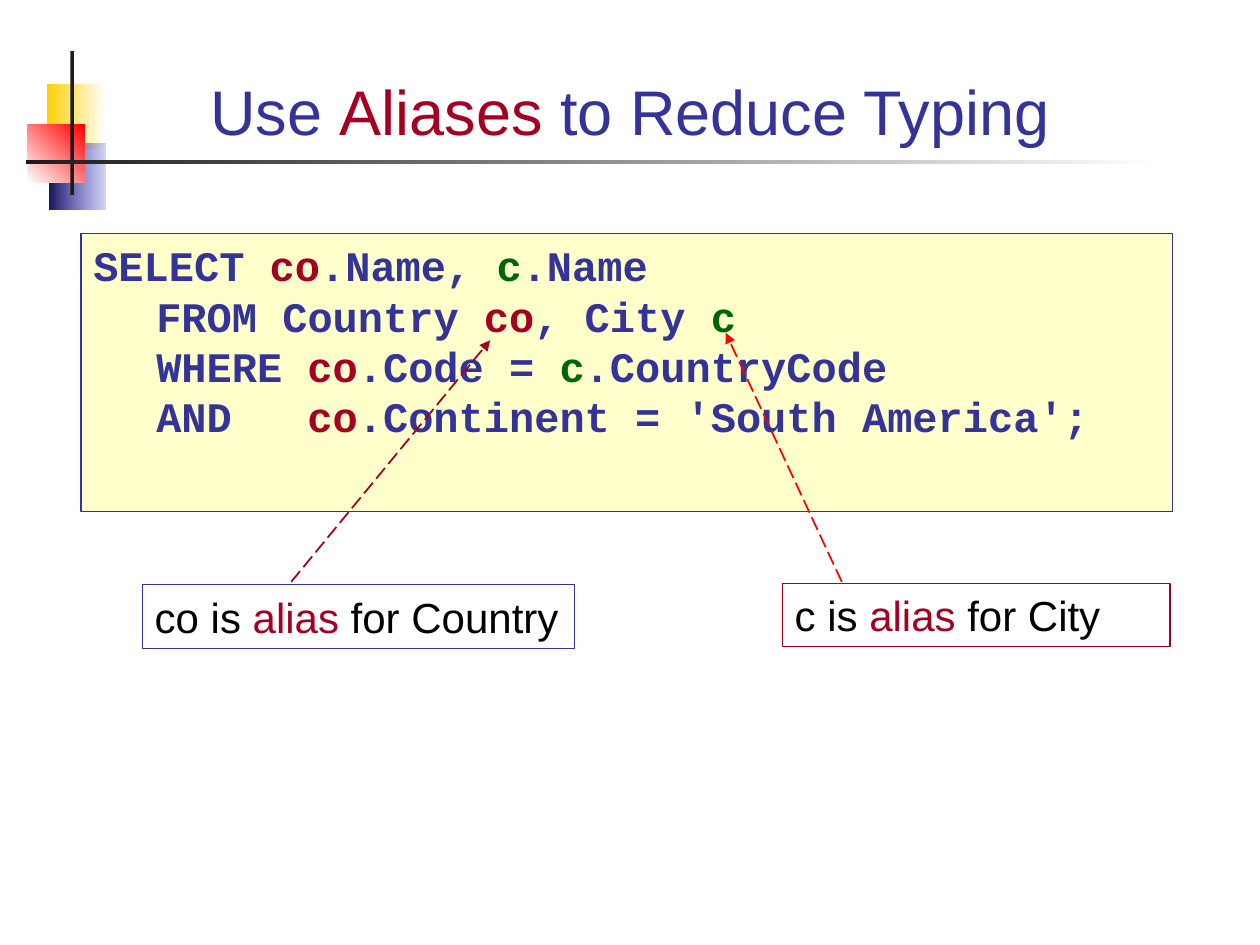
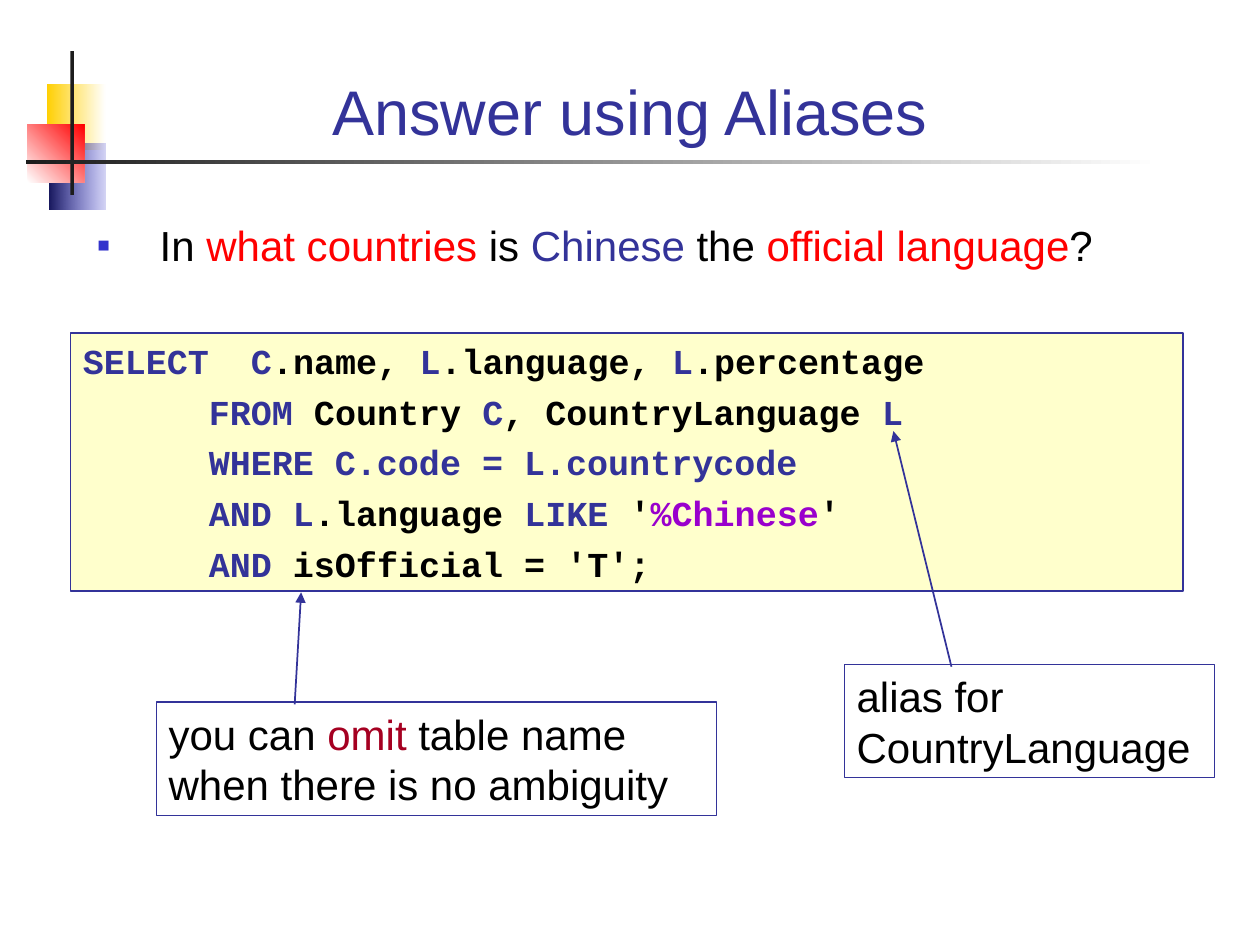
"""Build two slides on SQL table aliases."""
from dataclasses import dataclass

from lxml import etree
from pptx import Presentation
from pptx import util as u
from pptx.dml.color import RGBColor
from pptx.enum import dml, shapes, text
from pptx.oxml import ns


@dataclass(frozen=True)
class Theme:
    """Colours, fonts and type sizes of the deck."""
    navy: str = "333399"
    maroon: str = "A50021"
    red: str = "FF0000"
    green: str = "006600"
    purple: str = "9900CC"
    black: str = "000000"
    white: str = "FFFFFF"
    cream: str = "FFFFCC"
    charcoal: str = "1C1C1C"
    gold: str = "FFCF01"
    midnight: str = "18185E"
    blue: str = "3333CC"
    sans: str = "Arial"
    mono: str = "Courier New"
    title: int = 36
    body: int = 24
    code: int = 20
    leading: float = 1.2


THEME = Theme()


def rgb(value):
    """Return a colour object for a hex string."""
    return RGBColor.from_string(value)


def apply(target, formats):
    """Set every attribute named in a dict of format values."""
    for name, value in formats.items():
        setattr(target, name, value)


def add_element(parent, tag, **attributes):
    """Append a drawing element with the given attributes."""
    return etree.SubElement(parent, ns.qn(f"a:{tag}"), attributes)


def place(shape, area):
    """Move a shape to left, top, width and height in centimetres."""
    apply(shape, dict(zip(("left", "top", "width", "height"), map(u.Cm, area))))


def outline(shape, colour, width):
    """Draw a solid line around a shape."""
    shape.line.color.rgb = rgb(colour)
    shape.line.width = u.Pt(width)


def write_spans(para, spans, size, font=THEME.sans, bold=False):
    """Add coloured spans to a paragraph, breaking lines at newlines."""
    for words, colour in spans:
        for index, piece in enumerate(words.split("\n")):
            if index:
                para.add_line_break()
            if piece:
                span = para.add_run()
                span.text = piece
                apply(span.font, {"size": u.Pt(size), "name": font, "bold": bold})
                span.font.color.rgb = rgb(colour)


def prepare_frame(shape, anchor=text.MSO_ANCHOR.TOP):
    """Give a text frame wrapping, margins and a fixed size."""
    apply(shape.text_frame, {
        "word_wrap": True, "auto_size": text.MSO_AUTO_SIZE.NONE, "vertical_anchor": anchor,
        "margin_left": u.Cm(0.25), "margin_right": u.Cm(0.25),
        "margin_top": u.Cm(0.13), "margin_bottom": u.Cm(0.13)})
    return shape.text_frame


def set_spacing(para, size, before=0):
    """Set the leading and the gap above a paragraph."""
    apply(para, {"line_spacing": u.Pt(size * THEME.leading), "space_before": u.Pt(before),
                 "alignment": text.PP_ALIGN.LEFT})


def hang(para):
    """Give a paragraph a hanging indent and return its properties."""
    properties = para._p.get_or_add_pPr()
    properties.set("marL", str(u.Cm(1.27)))
    properties.set("indent", str(u.Cm(-1.27)))
    return properties


def set_title(page, spans):
    """Fill the title placeholder."""
    title = page.shapes.title
    place(title, (1.7, 0.71, 22, 2.41))
    para = prepare_frame(title, text.MSO_ANCHOR.BOTTOM).paragraphs[0]
    para.alignment = text.PP_ALIGN.CENTER
    write_spans(para, spans, THEME.title)


def set_question(page, spans):
    """Fill the body placeholder with one bulleted question."""
    body = page.placeholders[1]
    place(body, (1.7, 4.29, 22, 1.65))
    para = prepare_frame(body).paragraphs[0]
    properties = hang(para)
    add_element(add_element(properties, "buClr"), "srgbClr", val=THEME.blue)
    add_element(properties, "buSzPct", val="95000")
    add_element(properties, "buFont", typeface=THEME.sans)
    add_element(properties, "buChar", char="▪")
    set_spacing(para, THEME.body)
    write_spans(para, spans, THEME.body)


def set_statement(page, spans):
    """Fill the body placeholder with one SQL statement."""
    body = page.placeholders[1]
    place(body, (1.63, 4.7, 22, 5.61))
    body.fill.solid()
    body.fill.fore_color.rgb = rgb(THEME.cream)
    outline(body, THEME.navy, 0.75)
    para = prepare_frame(body).paragraphs[0]
    add_element(hang(para), "buNone")
    set_spacing(para, THEME.body)
    write_spans(para, spans, THEME.body, THEME.mono, True)


def add_code(page, area, lines):
    """Add a framed listing with one paragraph per line."""
    box = page.shapes.add_textbox(0, 0, 0, 0)
    place(box, area)
    box.fill.solid()
    box.fill.fore_color.rgb = rgb(THEME.cream)
    outline(box, THEME.navy, 1)
    frame = prepare_frame(box)
    for index, spans in enumerate(lines):
        para = frame.add_paragraph() if index else frame.paragraphs[0]
        tabs = add_element(para._p.get_or_add_pPr(), "tabLst")
        add_element(tabs, "tab", pos=str(u.Cm(2.54)), algn="l")
        set_spacing(para, THEME.code, 5 if index else 0)
        write_spans(para, spans, THEME.code, THEME.mono, True)


def add_callout(page, area, spans, colour=THEME.navy):
    """Add an outlined explanation."""
    box = page.shapes.add_textbox(0, 0, 0, 0)
    place(box, area)
    outline(box, colour, 0.75)
    para = prepare_frame(box).paragraphs[0]
    set_spacing(para, THEME.body)
    write_spans(para, spans, THEME.body)


def add_arrow(page, start, end, colour=THEME.navy, dash=None):
    """Add a straight arrow between two points in centimetres."""
    arrow = page.shapes.add_connector(shapes.MSO_CONNECTOR.STRAIGHT, *map(u.Cm, start + end))
    outline(arrow, colour, 1)
    if dash:
        arrow.line.dash_style = dash
    add_element(arrow.line._get_or_add_ln(), "tailEnd", type="triangle")
    add_element(arrow.element.spPr, "effectLst")


def add_block(page, area, colours, angle=0):
    """Add a borderless rectangle with a gradient of two colours."""
    block = page.shapes.add_shape(shapes.MSO_SHAPE.RECTANGLE, 0, 0, 0, 0)
    place(block, area)
    block.shadow.inherit = False
    block.line.fill.background()
    block.fill.gradient()
    block.fill.gradient_angle = angle
    for stop, colour in zip(block.fill.gradient_stops, colours):
        stop.color.rgb = rgb(colour)
    return block


def decorate_master(deck, page):
    """Build the corner blocks and rules and move them to the slide master."""
    gold = add_block(page, (0.94, 1.7, 1.19, 1.32), (THEME.gold, THEME.white))
    blue = add_block(page, (0.99, 2.9, 1.14, 1.32), (THEME.midnight, THEME.blue))
    faded = list(blue.element.iter(ns.qn("a:srgbClr")))[1]
    add_element(faded, "alpha", val="20000")
    red = add_block(page, (0.56, 2.51, 1.14, 1.17), (THEME.white, THEME.red), 45)
    upright = add_block(page, (1.42, 1.02, 0.08, 2.92), (THEME.charcoal, THEME.charcoal))
    rule = add_block(page, (0.53, 3.23, 22.86, 0.08), (THEME.charcoal, THEME.white))
    for number, block in enumerate((gold, blue, red, upright, rule), 20):
        block.element.nvSpPr.cNvPr.set("id", str(number))
        deck.slide_master.shapes.element.append(block.element)


def build_typing_page(page):
    """Show how aliases shorten a statement."""
    navy, maroon, green, black = THEME.navy, THEME.maroon, THEME.green, THEME.black
    set_title(page, [("Use ", navy), ("Aliases", maroon), (" to Reduce Typing", navy)])
    add_callout(page, (15.77, 11.76, 7.82, 1.28),
                [("c is ", black), ("alias", maroon), (" for City", black)], maroon)
    add_callout(page, (2.87, 11.79, 8.71, 1.28),
                [("co is ", black), ("alias", maroon), (" for Country", black)])
    set_statement(page, [
        ("SELECT ", navy), ("co", maroon), (".Name, ", navy), ("c", green),
        (".Name \nFROM Country ", navy), ("co", maroon), (", City ", navy), ("c\n", green),
        ("WHERE ", navy), ("co", maroon), (".Code = ", navy), ("c", green),
        (".CountryCode\nAND   ", navy), ("co", maroon),
        (".Continent = 'South America';", navy)])
    dash = dml.MSO_LINE.LONG_DASH
    add_arrow(page, (16.97, 11.73), (14.63, 6.71), THEME.red, dash)
    add_arrow(page, (5.87, 11.73), (9.88, 6.86), maroon, dash)


def build_answer_page(page):
    """Show a query with aliases for a question."""
    navy, black, red = THEME.navy, THEME.black, THEME.red
    set_title(page, [("Answer using Aliases", navy)])
    set_question(page, [
        ("In ", black), ("what countries", red), (" is ", black), ("Chinese", navy),
        (" the ", black), ("official language", red), ("?", black)])
    add_code(page, (1.42, 6.71, 22.43, 5.21), [
        [("SELECT  C", navy), (".name, ", black), ("L", navy), (".language, ", black),
         ("L", navy), (".percentage", black)],
        [("\tFROM", navy), (" Country ", black), ("C", navy), (", CountryLanguage ", black),
         ("L", navy)],
        [("\tWHERE C.code = L.countrycode", navy)],
        [("\tAND L", navy), (".language ", black), ("LIKE", navy), (" '", black),
         ("%Chinese", THEME.purple), ("'", black)],
        [("\tAND", navy), (" isOfficial = 'T';", black)]])
    add_arrow(page, (19.18, 13.44), (18.01, 8.69))
    add_callout(page, (17.02, 13.39, 7.47, 2.29), [("alias for CountryLanguage", black)])
    add_callout(page, (3.15, 14.15, 11.3, 2.29), [
        ("you can ", black), ("omit", THEME.maroon),
        (" table name when there is no ambiguity", black)])
    add_arrow(page, (5.94, 14.2), (6.07, 11.94))


def main():
    """Build and save the deck."""
    deck = Presentation()
    deck.slide_width, deck.slide_height = u.Cm(25.4), u.Cm(19.05)
    pages = [deck.slides.add_slide(deck.slide_layouts[1]) for _ in range(2)]
    decorate_master(deck, pages[0])
    build_typing_page(pages[0])
    build_answer_page(pages[1])
    deck.save("out.pptx")


if __name__ == "__main__":
    main()
